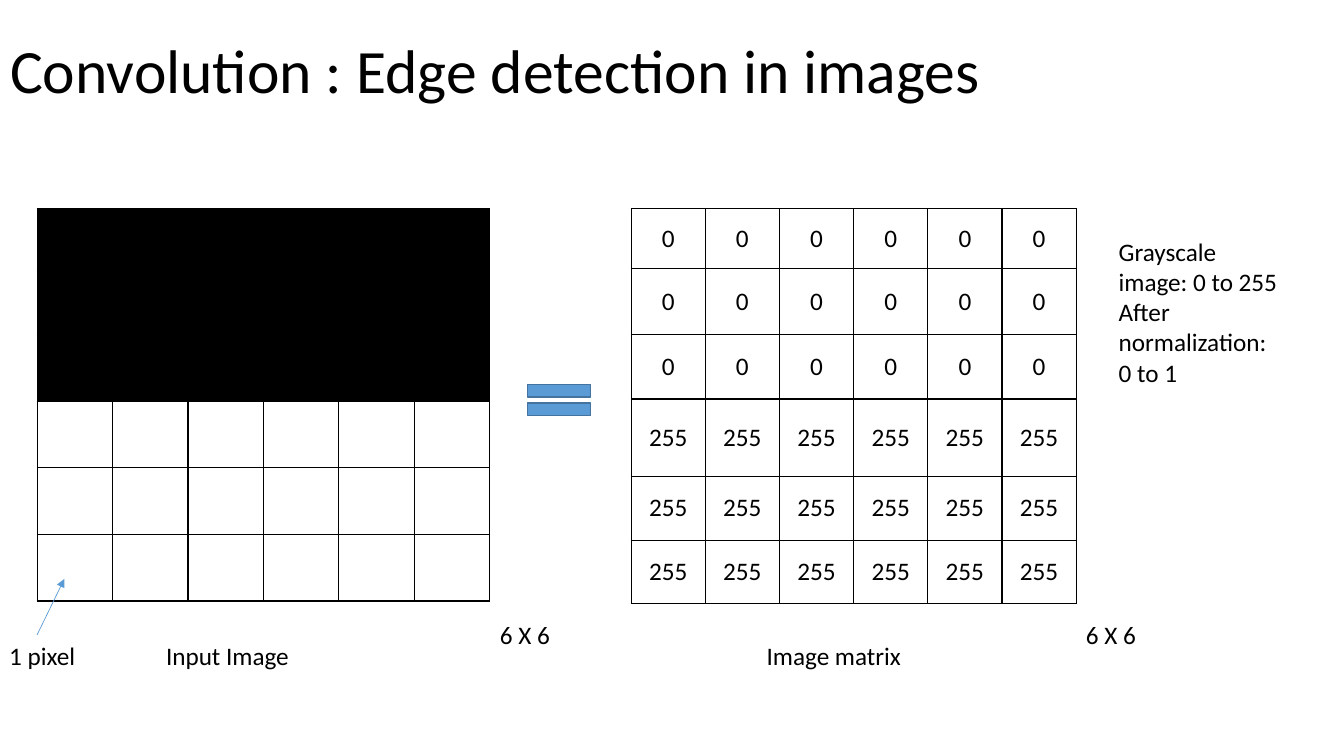
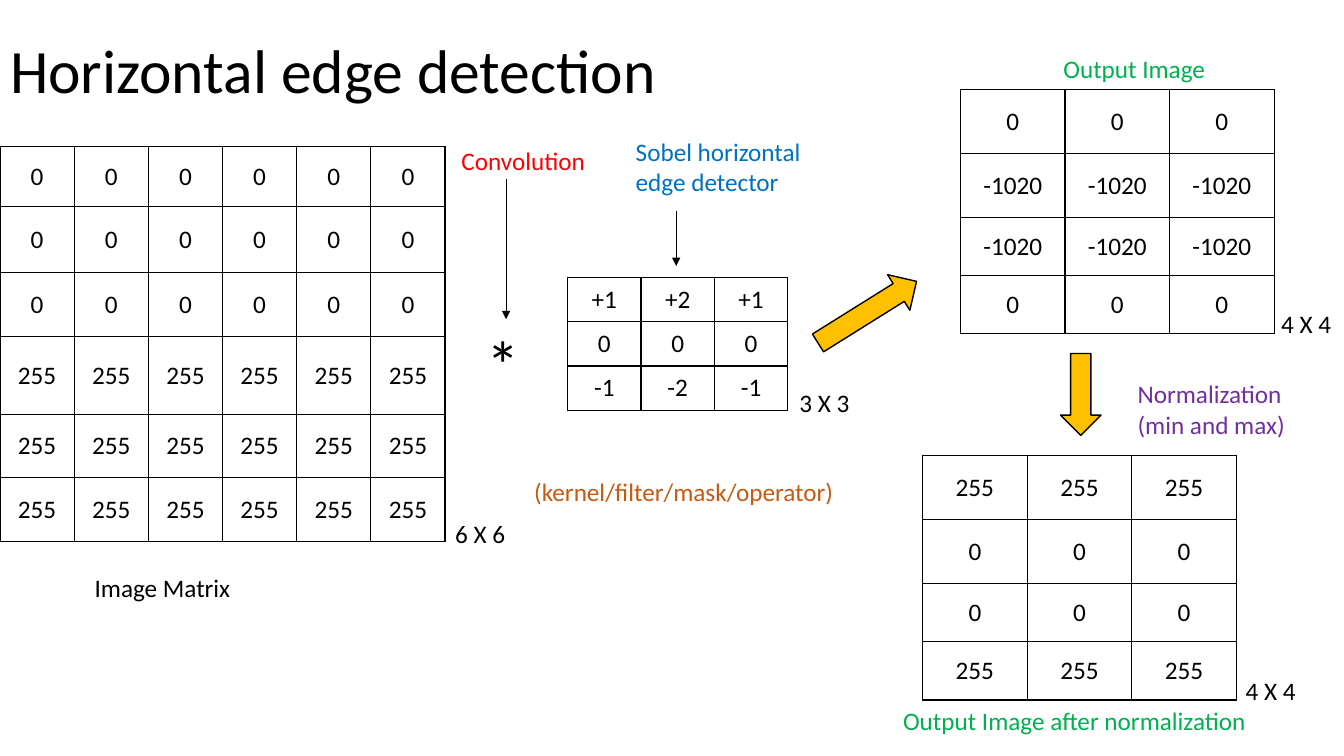
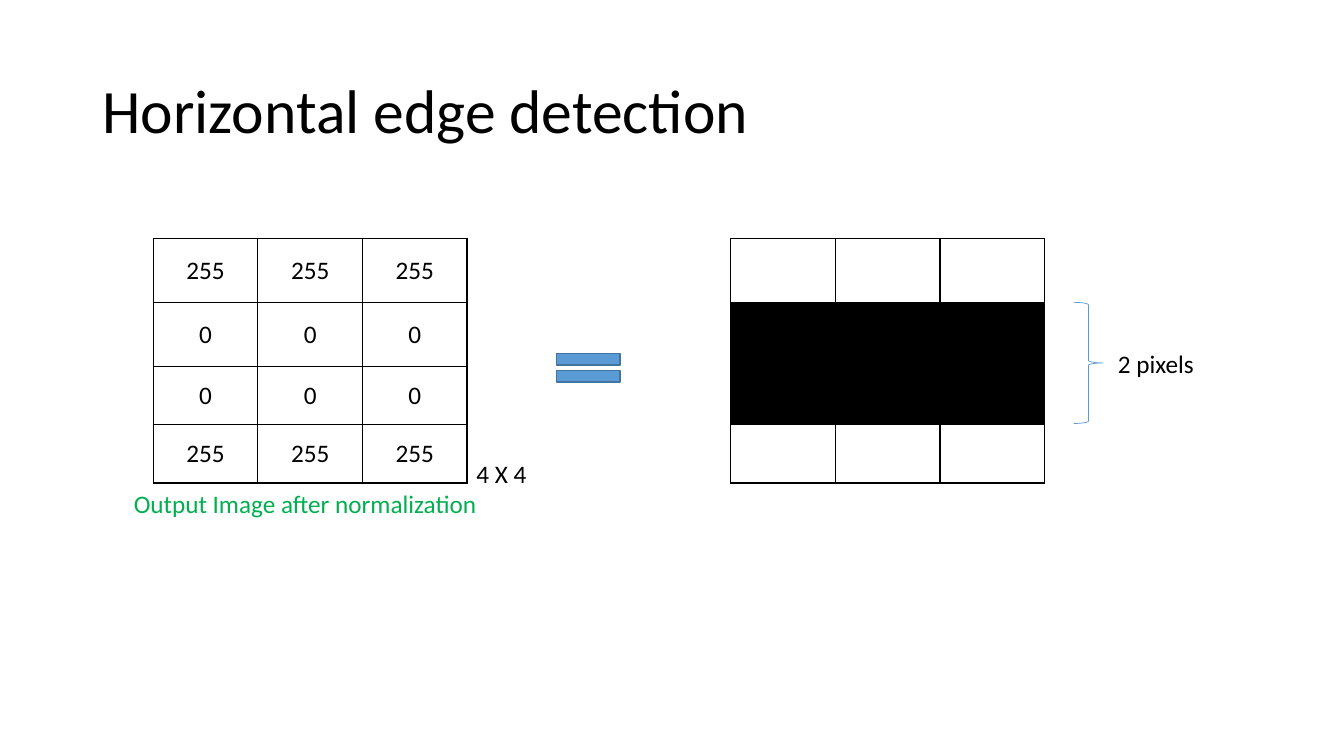
from dataclasses import dataclass
from typing import Optional

from lxml import etree
from pptx import Presentation
from pptx.dml.color import RGBColor
from pptx.enum import shapes, text
from pptx.oxml.ns import qn
from pptx.util import Pt

Shape = shapes.MSO_SHAPE


@dataclass(frozen=True)
class Theme:
    font: str = "Calibri"
    title: float = 44
    body: float = 18
    star: float = 48
    rule: float = 1
    thin: float = 0.5
    black: str = "000000"
    white: str = "FFFFFF"
    blue: str = "5B9BD5"
    navy: str = "43739E"
    gold: str = "FFC000"
    red: str = "FF0000"
    azure: str = "0070C0"
    rust: str = "C55A11"
    plum: str = "7030A0"
    green: str = "00B050"


T = Theme()


@dataclass(frozen=True)
class Label:
    text: str
    x: float
    y: float
    w: float
    h: float = 29
    color: str = T.black
    size: float = T.body


@dataclass(frozen=True)
class Grid:
    """Matrix of texts; the rows listed in dark are filled black."""
    x: float
    y: float
    col: float
    rows: tuple[float, ...]
    cells: list[list[str]]
    dark: tuple[int, ...] = ()


@dataclass(frozen=True)
class Block:
    kind: Shape
    x: float
    y: float
    w: float
    h: float
    fill: Optional[str]
    line: str
    width: float = T.rule
    turn: float = 0


@dataclass(frozen=True)
class Arrow:
    x1: float
    y1: float
    x2: float
    y2: float
    color: str = T.black


Item = Label | Grid | Block | Arrow


def rgb(color: str) -> RGBColor:
    return RGBColor.from_string(color)


def style(par, size: float, color: str) -> None:
    par.font.name = T.font
    par.font.size = Pt(size)
    par.font.color.rgb = rgb(color)


def add_label(slide, item: Label) -> None:
    box = slide.shapes.add_textbox(Pt(item.x), Pt(item.y), Pt(item.w), Pt(item.h))
    frame = box.text_frame
    frame.word_wrap = True
    frame.auto_size = text.MSO_AUTO_SIZE.SHAPE_TO_FIT_TEXT
    frame.text = item.text
    for par in frame.paragraphs:
        style(par, item.size, item.color)


def add_edges(cell) -> None:
    """Draw all four borders; must come before the cell fill."""
    props = cell._tc.get_or_add_tcPr()
    for side in ("lnL", "lnR", "lnT", "lnB"):
        line = etree.SubElement(props, qn(f"a:{side}"), w=str(Pt(T.rule)))
        fill = etree.SubElement(line, qn("a:solidFill"))
        etree.SubElement(fill, qn("a:srgbClr"), val=T.black)


def add_grid(slide, item: Grid) -> None:
    count = len(item.cells[0])
    table = slide.shapes.add_table(
        len(item.rows), count, Pt(item.x), Pt(item.y),
        Pt(item.col * count), Pt(sum(item.rows))).table
    table.first_row = table.horz_banding = False
    for col in table.columns:
        col.width = Pt(item.col)
    for r, (height, values) in enumerate(zip(item.rows, item.cells)):
        table.rows[r].height = Pt(height)
        for c, value in enumerate(values):
            cell = table.cell(r, c)
            add_edges(cell)
            cell.fill.solid()
            cell.fill.fore_color.rgb = rgb(T.black if r in item.dark else T.white)
            cell.vertical_anchor = text.MSO_ANCHOR.MIDDLE
            cell.text = value
            par = cell.text_frame.paragraphs[0]
            par.alignment = text.PP_ALIGN.CENTER
            style(par, T.body, T.black)


def add_block(slide, item: Block) -> None:
    shape = slide.shapes.add_shape(
        item.kind, Pt(item.x), Pt(item.y), Pt(item.w), Pt(item.h))
    shape.shadow.inherit = False
    shape.rotation = item.turn
    if item.fill:
        shape.fill.solid()
        shape.fill.fore_color.rgb = rgb(item.fill)
    else:
        shape.fill.background()
    shape.line.color.rgb = rgb(item.line)
    shape.line.width = Pt(item.width)


def add_arrow(slide, item: Arrow) -> None:
    line = slide.shapes.add_connector(
        shapes.MSO_CONNECTOR.STRAIGHT,
        Pt(item.x1), Pt(item.y1), Pt(item.x2), Pt(item.y2))
    line.line.color.rgb = rgb(item.color)
    line.line.width = Pt(T.thin)
    props = line.element.spPr
    etree.SubElement(props.find(qn("a:ln")), qn("a:tailEnd"), type="triangle")
    etree.SubElement(props, qn("a:effectLst"))


DRAW = {Label: add_label, Grid: add_grid, Block: add_block, Arrow: add_arrow}


def add_slide(deck, title: str, items: list[Item], x: float = 0, y: float = 0) -> None:
    """Add a slide with its title box at x, y and the items from back to front."""
    slide = deck.slides.add_slide(deck.slide_layouts[5])
    head = slide.shapes.title
    head.left, head.top, head.width, head.height = Pt(x), Pt(y), Pt(828), Pt(104.5)
    frame = head.text_frame
    frame.text = title
    frame.word_wrap = True
    frame.auto_size = text.MSO_AUTO_SIZE.NONE
    frame.vertical_anchor = text.MSO_ANCHOR.MIDDLE
    par = frame.paragraphs[0]
    par.alignment = text.PP_ALIGN.LEFT
    par.line_spacing = 0.9
    style(par, T.title, T.black)
    for item in items:
        DRAW[type(item)](slide, item)


def spread(values: list[str], count: int) -> list[list[str]]:
    """Repeat each value along its own row."""
    return [[value] * count for value in values]


def pixels(x: float, y: float) -> Grid:
    """The 6 by 6 image matrix."""
    return Grid(x, y, 53, (43, 47, 46, 55.4, 45.5, 45.5),
                spread(["0"] * 3 + ["255"] * 3, 6))


def result(x: float, y: float, values: list[str], dark: tuple[int, ...] = ()) -> Grid:
    """A matrix of the size that the convolution gives."""
    return Grid(x, y, 74.7, (45.5, 46, 41.5, 41.5), spread(values, 3), dark)


def equals(x: float, y: float, h: float) -> Block:
    return Block(Shape.MATH_EQUAL, x, y, 61.5, h, T.blue, T.navy)


def normed(x: float, y: float) -> list[Item]:
    """The normalized result with its size and caption."""
    return [
        result(x, y, ["255", "0", "0", "255"]),
        Label("4 X 4", x + 223.75, y + 153.5, 56),
        Label("Output Image after normalization", x - 21, y + 174.5, 266,
              color=T.green),
    ]


def main() -> None:
    deck = Presentation()
    deck.slide_width, deck.slide_height = Pt(960), Pt(540)

    add_slide(deck, "Convolution : Edge detection in images", [
        Grid(26.5, 149, 53.9, (44, 46) + (47.6,) * 4, spread([""] * 6, 6), (0, 1, 2)),
        pixels(450.8, 149),
        Label("6 X 6", 350, 439, 68),
        Label("6 X 6", 768.5, 439, 68),
        equals(368.5, 267, 37.5),
        Arrow(26.5, 453.5, 46, 413.5, T.blue),
        Label("1 pixel", -0.5, 453.5, 74),
        Label("Grayscale image: 0 to 255\nAfter normalization:\n0 to 1",
              792, 165, 136, 117),
        Label("Input Image", 111.5, 453.5, 106),
        Label("Image matrix", 540.5, 453.5, 120),
    ])

    add_slide(deck, "Horizontal edge detection", [
        Grid(405.5, 198, 52.4, (31.7,) * 3,
             [["+1", "+2", "+1"], ["0"] * 3, ["-1", "-2", "-1"]]),
        Label("*", 340.5, 227, 34, 65.5, size=T.star),
        Label("Convolution", 322.5, 100, 104, color=T.red),
        Arrow(361.5, 128, 361.5, 228),
        result(686, 64, ["0", "-1020", "-1020", "0"]),
        Label("3 X 3", 564, 273, 56),
        Label("4 X 4", 908, 217, 56),
        Arrow(483, 150.5, 483, 190),
        Label("Sobel horizontal edge detector", 447, 93.5, 143, 51, T.azure),
        Block(Shape.RIGHT_ARROW, 578, 208, 83, 30, T.gold, T.black, turn=328),
        Block(Shape.DOWN_ARROW, 757.5, 252.5, 29, 58.5, T.gold, T.black),
        Label("(kernel/filter/mask/operator)", 374.5, 337, 233, color=T.rust),
        pixels(0, 104.5),
        Label("6 X 6", 318, 367, 56),
        Label("Image Matrix", 60.5, 405.5, 125),
        Label("Normalization\n(min and max)", 805.5, 267, 125, 51, T.plum),
        Label("Output Image", 752.5, 34.5, 122, color=T.green),
        *normed(659, 325.5),
    ])

    add_slide(deck, "Horizontal edge detection", [
        *normed(109.5, 170.5),
        result(522, 170.5, [""] * 4, (1, 2)),
        equals(389.5, 245.5, 34.5),
        Block(Shape.RIGHT_BRACE, 767, 216, 21, 86.5, None, T.blue, T.thin),
        Label("2 pixels", 791.5, 245, 75),
    ], 66, 29)

    deck.save("out.pptx")


if __name__ == "__main__":
    main()
